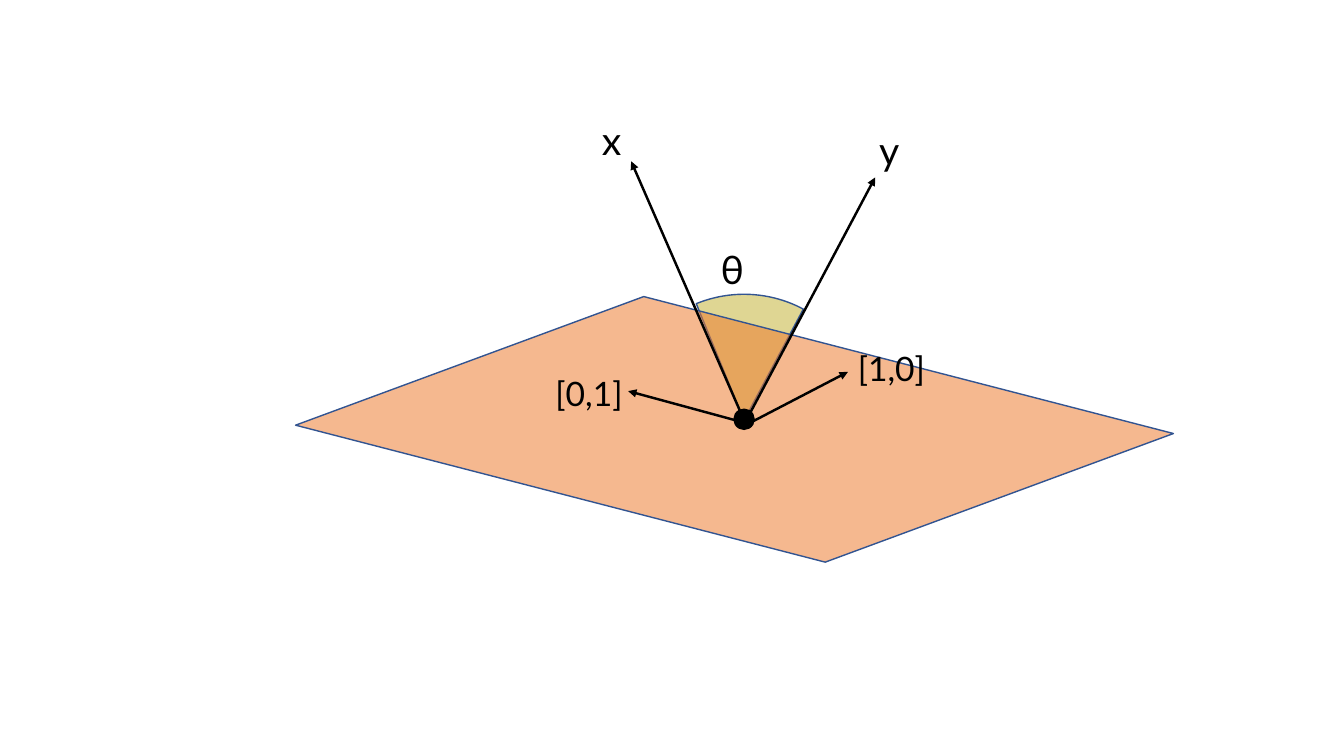
from dataclasses import dataclass
from math import cos, radians, sin

from lxml.etree import SubElement
from pptx import Presentation
from pptx.dml.color import RGBColor
from pptx.enum.shapes import MSO_CONNECTOR, MSO_SHAPE
from pptx.enum.text import MSO_AUTO_SIZE
from pptx.oxml.ns import qn
from pptx.util import Inches, Pt


@dataclass(frozen=True)
class Theme:
    ink: RGBColor = RGBColor(0x00, 0x00, 0x00)
    outline: RGBColor = RGBColor(0x32, 0x54, 0x91)
    plane: RGBColor = RGBColor(0xED, 0x7D, 0x31)
    plane_opacity: int = 54
    wedge: RGBColor = RGBColor(0xDF, 0xD6, 0x93)
    font: str = "Lato"
    vector_size: int = 28
    basis_size: int = 24
    outline_width: float = 1
    arrow_width: float = 1.75


@dataclass(frozen=True)
class Box:
    left: float
    top: float
    width: float
    height: float

    def lengths(self):
        return [Inches(side) for side in (self.left, self.top, self.width, self.height)]

    def inner(self, left, top, width, height):
        return Box(self.left + left, self.top + top, width, height)

    def point(self, x, y):
        return Inches(self.left + x), Inches(self.top + y)


THEME = Theme()


def add_figure(page, kind, box, fill, outline):
    shape = page.shapes.add_shape(kind, *box.lengths())
    shape.shadow.inherit = False
    shape.fill.solid()
    shape.fill.fore_color.rgb = fill
    shape.line.color.rgb = outline
    shape.line.width = Pt(THEME.outline_width)
    return shape


def add_label(page, box, text, size):
    label = page.shapes.add_textbox(*box.lengths())
    frame = label.text_frame
    frame.word_wrap = True
    frame.auto_size = MSO_AUTO_SIZE.SHAPE_TO_FIT_TEXT
    frame.text = text
    font = frame.paragraphs[0].runs[0].font
    font.name = THEME.font
    font.size = Pt(size)
    font.color.rgb = THEME.ink


def add_arrow(page, start, end):
    arrow = page.shapes.add_connector(MSO_CONNECTOR.STRAIGHT, *start, *end)
    arrow.line.color.rgb = THEME.ink
    arrow.line.width = Pt(THEME.arrow_width)
    SubElement(arrow.line._get_or_add_ln(), qn("a:tailEnd"), type="triangle")
    SubElement(arrow._element.spPr, qn("a:effectLst"))


def draw_wedge(page, box, start_angle, end_angle):
    wedge = add_figure(page, MSO_SHAPE.PIE, box, THEME.wedge, THEME.outline)
    for index, angle in enumerate((start_angle, end_angle)):
        wedge.adjustments[index] = angle * 0.6


def draw_plane(page, box):
    plane = add_figure(page, MSO_SHAPE.PARALLELOGRAM, box, THEME.plane, THEME.outline)
    plane.adjustments[0] = 1.44
    plane.rotation = 14.5
    color = plane.fill._xPr.find(qn("a:solidFill"))[0]
    SubElement(color, qn("a:alpha"), val=str(THEME.plane_opacity * 1000))


def draw_vectors(page, box):
    arrows = [
        ((1.97, 3.07), (0.85, 0.5)),
        ((1.97, 3.11), (3.27, 0.66)),
        ((2, 3.11), (3, 2.59)),
        ((1.96, 3.09), (0.82, 2.78)),
    ]
    for start, end in arrows:
        add_arrow(page, box.point(*start), box.point(*end))
    add_figure(page, MSO_SHAPE.OVAL, box.inner(1.87, 2.96, 0.2, 0.2), THEME.ink, THEME.ink)


def draw_labels(page, box):
    for text, left, top in (("x", 0.46, 0), ("y", 3.21, 0.1), ("θ", 1.64, 1.28)):
        add_label(page, box.inner(left, top, 0.39, 0.57), text, THEME.vector_size)
    for text, left, top in (("[1,0]", 3, 2.3), ("[0,1]", 0, 2.55)):
        add_label(page, box.inner(left, top, 1, 0.5), text, THEME.basis_size)


def draw_angle_diagram(page, box):
    draw_wedge(page, box.inner(3.07, 1.82, 2.5, 2.5), 247.73, 298.07)
    draw_plane(page, box.inner(0, 2.11, 8.45, 2.1))
    vectors = box.inner(2.35, 0, 4, 3.16)
    draw_vectors(page, vectors)
    draw_labels(page, vectors)


def main():
    deck = Presentation()
    deck.slide_width = Inches(13.33)
    deck.slide_height = Inches(7.5)
    page = deck.slides.add_slide(deck.slide_layouts[6])
    draw_angle_diagram(page, Box(3.06, 1.1, 8.45, 4.21))
    deck.save("out.pptx")


if __name__ == "__main__":
    main()
